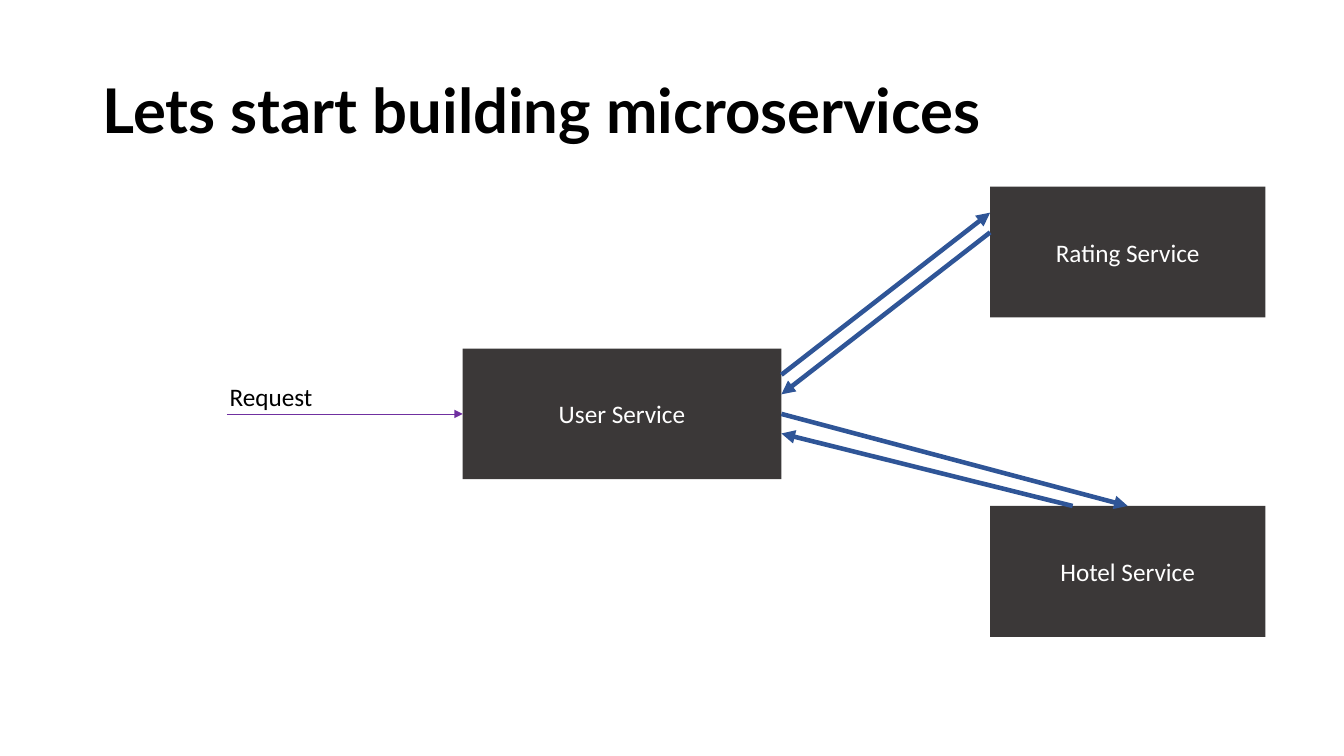
import pptx
import pptx.util
import pptx.dml.color
import pptx.enum.shapes
import pptx.enum.text
import pptx.oxml.ns
from lxml import etree

COLORS = {
    "box": "3B3838",
    "box text": "FFFFFF",
    "text": "000000",
    "call": "2F5597",
    "request": "7030A0",
}
# Connection sites by position within a rectangle
SITES = {(0.5, 0): 0, (0, 0.5): 1, (0.5, 1): 2, (1, 0.5): 3}


class Diagram:
    """Style and current slide; lengths are percentages of the slide's size."""

    body_font = "Calibri"
    title_font = "Lato"

    def __init__(self, presentation):
        self.width = presentation.slide_width
        self.height = presentation.slide_height
        self.slide = presentation.slides.add_slide(presentation.slide_layouts[6])

    def place(self, left, top, width, height):
        return (int(left * self.width / 100), int(top * self.height / 100),
                int(width * self.width / 100), int(height * self.height / 100))

    def color(self, name):
        return pptx.dml.color.RGBColor.from_string(COLORS[name])

    def set_text(self, shape, text, font, size, color, bold=False):
        paragraph = shape.text_frame.paragraphs[0]
        paragraph.text = text
        paragraph.font.name = font
        paragraph.font.size = pptx.util.Pt(size)
        paragraph.font.bold = bold
        paragraph.font.color.rgb = self.color(color)
        return paragraph

    def title(self, text, *area):
        shape = self.slide.shapes.add_textbox(*self.place(*area))
        shape.text_frame.word_wrap = True
        shape.text_frame.vertical_anchor = pptx.enum.text.MSO_ANCHOR.MIDDLE
        paragraph = self.set_text(shape, text, self.title_font, 44, "text", bold=True)
        paragraph.line_spacing = 0.9

    def label(self, text, *area):
        shape = self.slide.shapes.add_textbox(*self.place(*area))
        shape.text_frame.word_wrap = False
        shape.text_frame.auto_size = pptx.enum.text.MSO_AUTO_SIZE.SHAPE_TO_FIT_TEXT
        self.set_text(shape, text, self.body_font, 18, "text")

    def service(self, text, *area):
        shape = self.slide.shapes.add_shape(
            pptx.enum.shapes.MSO_SHAPE.RECTANGLE, *self.place(*area))
        shape.shadow.inherit = False
        shape.fill.solid()
        shape.fill.fore_color.rgb = self.color("box")
        shape.line.fill.background()
        shape.text_frame.vertical_anchor = pptx.enum.text.MSO_ANCHOR.MIDDLE
        paragraph = self.set_text(shape, text, self.body_font, 18, "box text")
        paragraph.alignment = pptx.enum.text.PP_ALIGN.CENTER
        return shape

    def arrow(self, start, end, color="call", weight=3.25):
        """Each end is a box and a position as shares of its width and height."""
        points = [(int(box.left + across * box.width), int(box.top + down * box.height))
                  for box, across, down in (start, end)]
        connector = self.slide.shapes.add_connector(
            pptx.enum.shapes.MSO_CONNECTOR.STRAIGHT, *points[0], *points[1])
        for connect, (box, *position) in ((connector.begin_connect, start),
                                          (connector.end_connect, end)):
            if tuple(position) in SITES:
                connect(box, SITES[tuple(position)])
        connector.line.color.rgb = self.color(color)
        connector.line.width = pptx.util.Pt(weight)
        properties = connector._element.spPr
        line = properties.find(pptx.oxml.ns.qn("a:ln"))
        etree.SubElement(line, pptx.oxml.ns.qn("a:tailEnd"), type="triangle")
        etree.SubElement(properties, pptx.oxml.ns.qn("a:effectLst"))


def main():
    presentation = pptx.Presentation()
    presentation.slide_width = pptx.util.Inches(13.33)
    presentation.slide_height = pptx.util.Inches(7.5)
    diagram = Diagram(presentation)

    diagram.title("Lets start building microservices", 6.9, 5.33, 86.25, 19.33)

    # Services
    user = diagram.service("User Service", 34.43, 46.13, 23.71, 17.25)
    rating = diagram.service("Rating Service", 73.67, 24.67, 20.48, 17.33)
    hotel = diagram.service("Hotel Service", 73.67, 66.93, 20.48, 17.33)

    # Calls and replies between services
    diagram.arrow((user, 1, 0.2), (rating, 0, 0.2))
    diagram.arrow((rating, 0, 0.35), (user, 1, 0.35))
    diagram.arrow((user, 1, 0.5), (hotel, 0.5, 0))
    diagram.arrow((hotel, 0.3, 0), (user, 1, 0.65))

    # Incoming request
    diagram.arrow((user, -0.74, 0.5), (user, 0, 0.5), "request", 0.5)
    diagram.label("Request", 16.35, 49.73, 7.73, 5.33)

    presentation.save("out.pptx")


if __name__ == "__main__":
    main()
